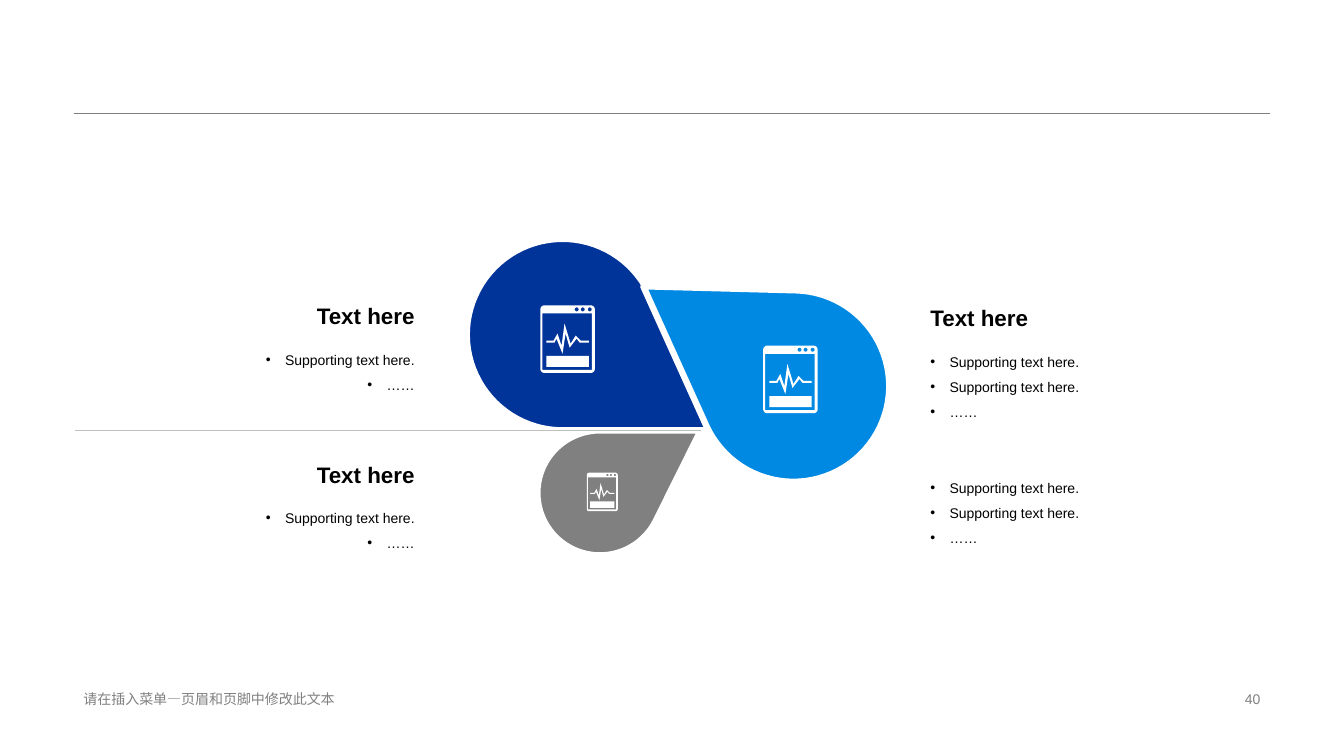
"""Build a slide of three interlocking drops with icons and supporting text."""
from math import acos, atan2, cos, hypot, pi, sin

from lxml.etree import SubElement
from pptx import Presentation
from pptx.dml.color import RGBColor as RGB
from pptx.enum.shapes import MSO_CONNECTOR as CONN
from pptx.enum.text import MSO_ANCHOR as ANCHOR, PP_ALIGN as ALIGN
from pptx.oxml.ns import qn
from pptx.util import Inches, Pt

COLORS = {"navy": "003499", "blue": "0089E2", "gray": "808080",
          "rule": "BFBFBF", "white": "FFFFFF", "black": "000000"}
LEFT, RIGHT, COL_W = 0.74, 9.13, 3.47
HEAD_H, LINE_H = 0.43, 0.35


def arc(cx, cy, r, start, end, steps=60):
    """Return points along a circular arc, with angles in radians."""
    angles = [start + (end - start) * i / steps for i in range(steps + 1)]
    return [(cx + r * cos(a), cy + r * sin(a)) for a in angles]


def add_outline(shapes, contours, color):
    """Add one filled freeform made of closed contours given in inches."""
    emu = [[(Inches(x), Inches(y)) for x, y in c] for c in contours]
    fb = shapes.build_freeform(*emu[0][0])
    fb.add_line_segments(emu[0][1:])
    for c in emu[1:]:
        fb.move_to(*c[0])
        fb.add_line_segments(c[1:])
    sp = fb.convert_to_shape()
    sp.shadow.inherit = False
    sp.fill.solid()
    sp.fill.fore_color.rgb = RGB.from_string(COLORS[color])
    sp.line.fill.background()
    return sp


prs = Presentation()
prs.slide_width, prs.slide_height = Inches(13.33), Inches(7.5)
s = prs.slides.add_slide(prs.slide_layouts[6])

drops = [
    ("navy", 5.58, 3.32, 0.95, 7.09, 4.27),
    ("gray", 5.95, 4.89, 0.62, 6.95, 4.27),
    ("blue", 7.87, 3.83, 0.95, 6.38, 2.84),
]
for color, cx, cy, r, tip_x, tip_y in drops:
    toward = atan2(tip_y - cy, tip_x - cx)
    spread = acos(r / hypot(tip_x - cx, tip_y - cy))
    bowl = arc(cx, cy, r, toward + spread, toward + 2 * pi - spread)
    sp = add_outline(s.shapes, [[(tip_x, tip_y)] + bowl], color)
    sp.line.color.rgb = RGB.from_string(COLORS["white"])
    sp.line.width = Pt(4.5)

corners = [(0.5, 0.63), (0.04, 0.63), (0.04, 0.04), (0.5, 0.04)]
body = [pt for i, (x, y) in enumerate(corners)
        for pt in arc(x, y, 0.04, i * pi / 2, (i + 1) * pi / 2, 8)]
window = [(0.02, 0.08), (0.51, 0.08), (0.51, 0.64), (0.02, 0.64)]
bar = [(0.06, 0.5), (0.48, 0.5), (0.48, 0.61), (0.06, 0.61)]
pulse = [(0.24, 0.18), (0.3, 0.38), (0.35, 0.3), (0.4, 0.35), (0.48, 0.35),
         (0.48, 0.37), (0.39, 0.37), (0.36, 0.33), (0.29, 0.42), (0.25, 0.28),
         (0.22, 0.48), (0.16, 0.33), (0.14, 0.37), (0.06, 0.37), (0.06, 0.35),
         (0.13, 0.35), (0.17, 0.28), (0.21, 0.4)]
dots = [arc(x, 0.04, 0.02, 0, 2 * pi, 16) for x in (0.36, 0.42, 0.49)]
for left, top, scale in [(5.36, 3.03, 1), (5.82, 4.69, 0.57), (7.57, 3.43, 1)]:
    icon = [[(left + x * scale, top + y * scale) for x, y in c]
            for c in [body, window, bar, pulse, *dots]]
    add_outline(s.shapes, icon, "white")

for x1, x2, y, color in [(0.73, 12.6, 1.12, "gray"), (6.95, LEFT, 4.27, "rule")]:
    cn = s.shapes.add_connector(CONN.STRAIGHT, *map(Inches, (x1, y, x2, y)))
    cn.line.color.rgb = RGB.from_string(COLORS[color])
    cn.line.width = Pt(0.25)
    SubElement(cn._element.spPr, qn("a:effectLst"))

head = {"size": Pt(16), "bold": True, "name": "Arial"}
plain = {"size": Pt(10), "bold": False, "name": "Arial"}
support = "Supporting text here."
short, long = [[support, "……"]], [[support, support, "……"]] * 2
boxes = [
    (0.73, 6.82, 4.53, 0.23, ALIGN.LEFT, "gray", plain, "请在插入菜单—页眉和页脚中修改此文本"),
    (9.42, 6.82, 3.18, 0.23, ALIGN.RIGHT, "gray", plain, "40"),
]
for left, top, align, groups, height in [
    (LEFT, 2.92, ALIGN.RIGHT, short, 2 * LINE_H),
    (LEFT, 4.49, ALIGN.RIGHT, short, 2 * LINE_H),
    (RIGHT, 2.94, ALIGN.LEFT, long, 2.23),
]:
    boxes += [
        (left, top, COL_W, HEAD_H, align, "black", head, "Text here"),
        (left, top + HEAD_H, COL_W, height, align, "black", plain, groups),
    ]

for left, top, width, height, align, color, font, content in boxes:
    tf = s.shapes.add_textbox(*map(Inches, (left, top, width, height))).text_frame
    tf.word_wrap = True
    bulleted = not isinstance(content, str)
    tf.vertical_anchor = ANCHOR.TOP if bulleted else ANCHOR.MIDDLE
    groups = content if bulleted else [[content]]
    lines = [(g, i, text) for g, group in enumerate(groups)
             for i, text in enumerate(group)]
    for n, (g, i, text) in enumerate(lines):
        p = tf.add_paragraph() if n else tf.paragraphs[0]
        p.alignment = align
        if bulleted:
            p.line_spacing = 1.5
            if g and not i:
                p.space_before = Pt(36)
            pPr = p._p.get_or_add_pPr()
            pPr.set("marL", str(Inches(0.19)))
            pPr.set("indent", str(-Inches(0.19)))
            SubElement(pPr, qn("a:buFont"), typeface="Arial")
            SubElement(pPr, qn("a:buChar"), char="•")
        r = p.add_run()
        r.text = text
        r.font.color.rgb = RGB.from_string(COLORS[color])
        for key, value in font.items():
            setattr(r.font, key, value)

prs.save("out.pptx")
